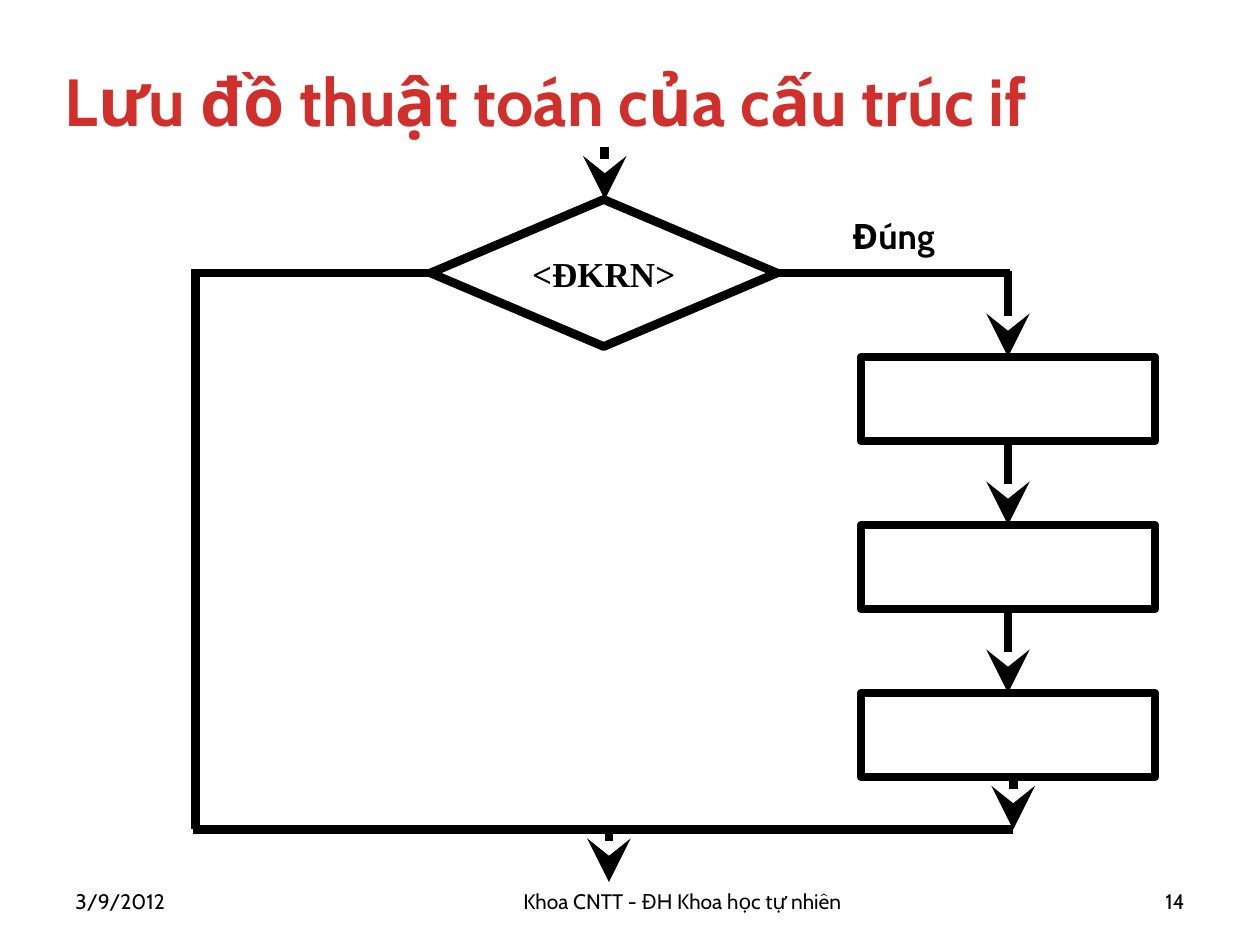
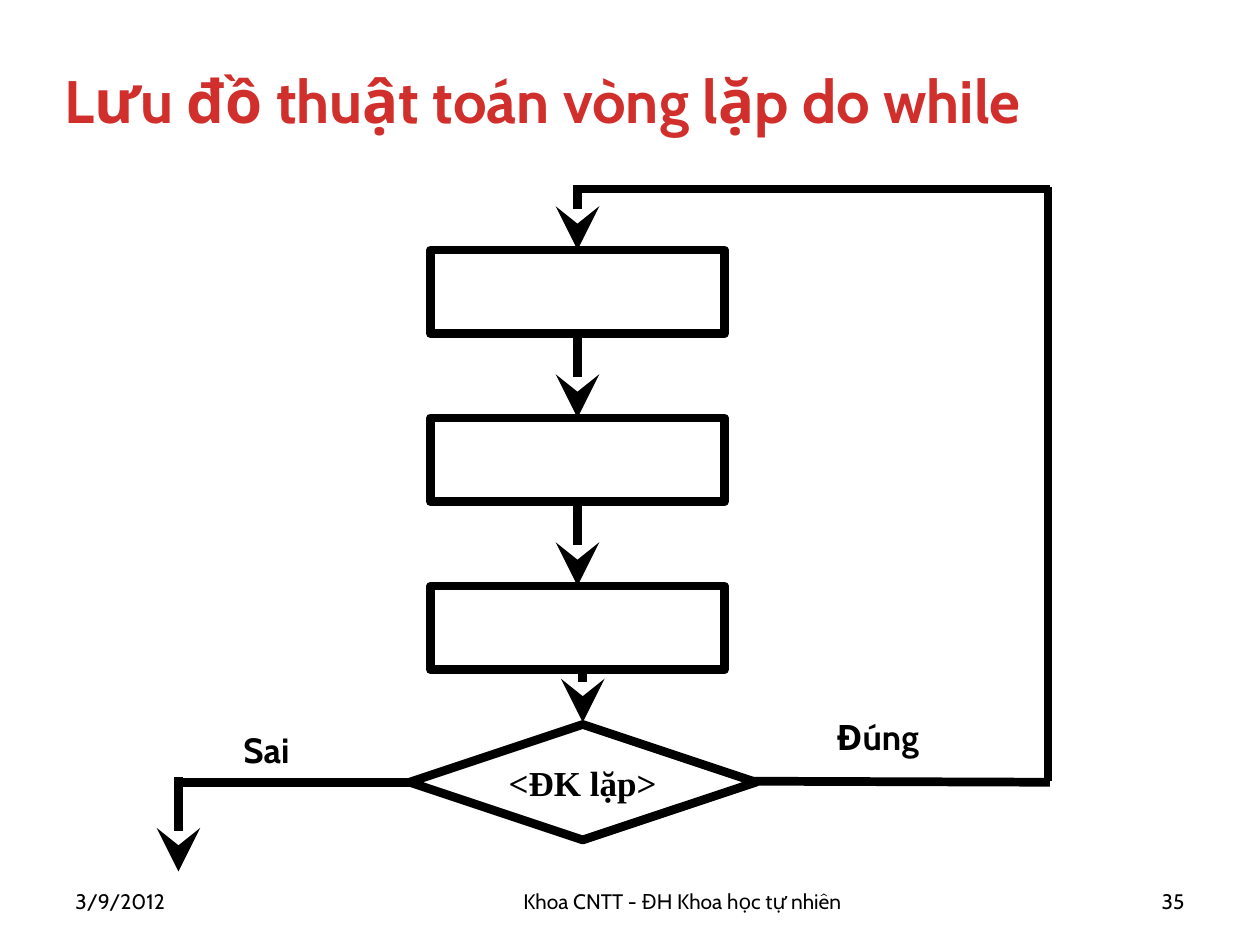
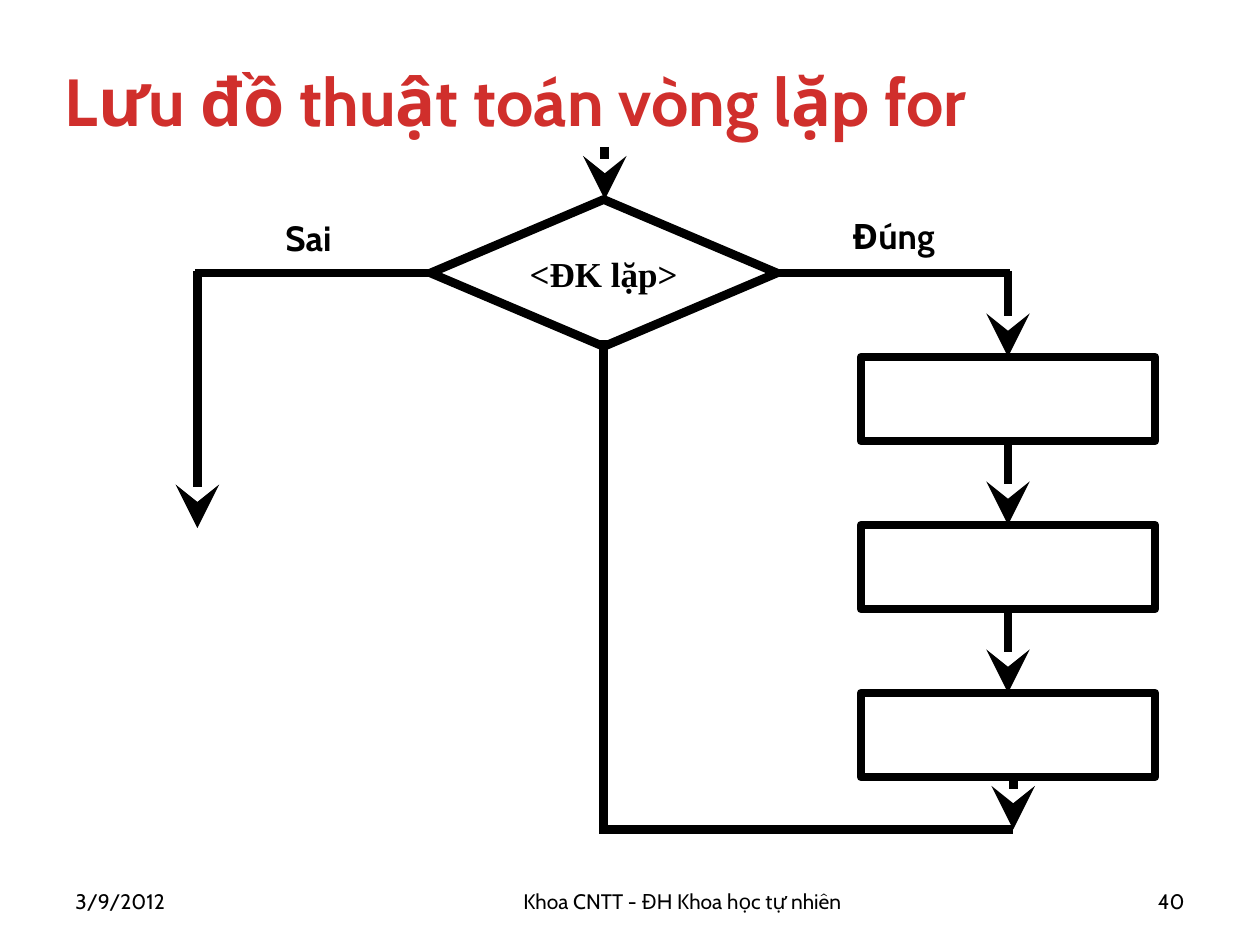
import lxml.etree
import pptx
import pptx.dml.color
import pptx.enum.shapes
import pptx.enum.text
import pptx.oxml.ns
import pptx.util

RED = pptx.dml.color.RGBColor(0xD0, 0x2F, 0x2C)
BLACK = pptx.dml.color.RGBColor(0x00, 0x00, 0x00)
WHITE = pptx.dml.color.RGBColor(0xFF, 0xFF, 0xFF)
SANS = "Cabin"
SERIF = "Times New Roman"
STROKE = pptx.util.Pt(5)

ALIGN = pptx.enum.text.PP_ALIGN
ANCHOR = pptx.enum.text.MSO_ANCHOR
SHAPE = pptx.enum.shapes.MSO_SHAPE

# The slide is a grid of 120 columns by 90 rows of square cells.
deck = pptx.Presentation()
deck.slide_width = pptx.util.Inches(10)
deck.slide_height = pptx.util.Inches(7.5)
CELL = deck.slide_width / 120

STEP_WIDTH, STEP_HEIGHT, STEP_PITCH, STEP_COUNT = 28, 8, 16, 3
LABEL_SIZE = (13, 5.3)
TITLE_AREA = (5, 2, 113, 15)
DATE_AREA = (6, 83.4, 13, 4.8)
FOOTER_AREA = (25, 83.4, 80, 4.8)
NUMBER_AREA = (107, 83.4, 7, 4.8)

# Parts shared by the charts that start with the condition
TOP_DIAMOND = (41, 19, 33, 14)
RIGHT_STEPS = (82, 34)
TRUE_LABEL = ("Đúng", 80, 19.8)
BRANCHES = [(73.5, 26, 96.2, 26), (18.6, 26, 41, 26)]
ENTRIES = [(57.6, 14, 57.6, 19), (96, 25.8, 96, 34)]

FLOWCHARTS = [
    {
        "title": "Lưu đồ thuật toán của cấu trúc if", "title_size": 38, "number": "14",
        "condition": "<ĐKRN>", "diamond": TOP_DIAMOND, "steps": RIGHT_STEPS,
        "labels": [TRUE_LABEL],
        "lines": BRANCHES + [(18.6, 25.6, 18.6, 79), (18.4, 79, 96.5, 79)],
        "arrows": ENTRIES + [(58, 79, 58, 84)],
    },
    {
        "title": "Lưu đồ thuật toán vòng lặp do while", "title_size": 34.2, "number": "35",
        "condition": "<ĐK lặp>", "diamond": (39, 69, 33, 11), "steps": (41, 23.8),
        "labels": [("Đúng", 78.5, 67.6), ("Sai", 22, 68.8)],
        "lines": [(54.6, 18, 100, 18), (99.8, 17.8, 99.8, 74.4),
                  (71.5, 74.4, 100, 74.5), (16.9, 74.5, 39.4, 74.5)],
        "arrows": [(55, 18, 55, 23.8), (17, 74, 17, 83)],
    },
    {
        "title": "Lưu đồ thuật toán vòng lặp for", "title_size": 38, "number": "40",
        "condition": "<ĐK lặp>", "diamond": TOP_DIAMOND, "steps": RIGHT_STEPS,
        "labels": [TRUE_LABEL, ("Sai", 26, 20)],
        "lines": BRANCHES + [(57.5, 32.4, 57.5, 79.4), (57.5, 79, 96.5, 79)],
        "arrows": ENTRIES + [(18.8, 25.8, 18.8, 50.3)],
    },
]


def cells(*counts):
    """Turn numbers of grid cells into lengths."""
    return [pptx.util.Emu(round(count * CELL)) for count in counts]


def write(shape, text, size, font=SANS, color=BLACK, bold=True,
          align=ALIGN.LEFT, anchor=ANCHOR.MIDDLE, wrap=True):
    frame = shape.text_frame
    frame.word_wrap = wrap
    frame.vertical_anchor = anchor
    frame.text = text
    para = frame.paragraphs[0]
    para.alignment = align
    span = para.runs[0]
    span.font.name = font
    span.font.size = pptx.util.Pt(size)
    span.font.bold = bold
    span.font.color.rgb = color


for chart in FLOWCHARTS:
    page = deck.slides.add_slide(deck.slide_layouts[6])

    title = page.shapes.add_textbox(*cells(*TITLE_AREA))
    write(title, chart["title"], chart["title_size"], color=RED)
    for area, text, align in [
        (DATE_AREA, "3/9/2012", ALIGN.LEFT),
        (FOOTER_AREA, "Khoa CNTT - ĐH Khoa học tự nhiên", ALIGN.CENTER),
        (NUMBER_AREA, chart["number"], ALIGN.RIGHT),
    ]:
        write(page.shapes.add_textbox(*cells(*area)), text, 12, bold=False, align=align)

    # Condition and the column of steps
    diamond = page.shapes.add_shape(SHAPE.DIAMOND, *cells(*chart["diamond"]))
    diamond.fill.solid()
    diamond.fill.fore_color.rgb = WHITE
    write(diamond, chart["condition"], 20, font=SERIF, align=ALIGN.CENTER, wrap=False)

    left, first_top = chart["steps"]
    tops = [first_top + row * STEP_PITCH for row in range(STEP_COUNT)]
    outlined = [diamond]
    for top in tops:
        step = page.shapes.add_shape(
            SHAPE.RECTANGLE, *cells(left, top, STEP_WIDTH, STEP_HEIGHT))
        step.fill.background()
        outlined.append(step)
    for shape in outlined:
        shape.shadow.inherit = False
        shape.line.color.rgb = BLACK
        shape.line.width = STROKE

    # Flow lines: between the steps, out of the last one, then the branches
    middle = left + STEP_WIDTH / 2
    arrows = [(middle, top + STEP_HEIGHT, middle, top + STEP_PITCH) for top in tops[:-1]]
    last_bottom = tops[-1] + STEP_HEIGHT
    arrows.append((middle + 0.5, last_bottom, middle + 0.5, last_bottom + 5))
    arrows += chart["arrows"]
    for index, ends in enumerate(arrows + chart["lines"]):
        flow = page.shapes.add_connector(
            pptx.enum.shapes.MSO_CONNECTOR.STRAIGHT, *cells(*ends))
        flow.line.color.rgb = BLACK
        flow.line.width = STROKE
        if index < len(arrows):
            lxml.etree.SubElement(flow.line._get_or_add_ln(), pptx.oxml.ns.qn("a:tailEnd"),
                                  type="stealth", w="lg", len="lg")
        lxml.etree.SubElement(flow._element.spPr, pptx.oxml.ns.qn("a:effectLst"))

    for text, label_left, label_top in chart["labels"]:
        label = page.shapes.add_textbox(*cells(label_left, label_top, *LABEL_SIZE))
        write(label, text, 20, anchor=ANCHOR.TOP)

deck.save("out.pptx")
